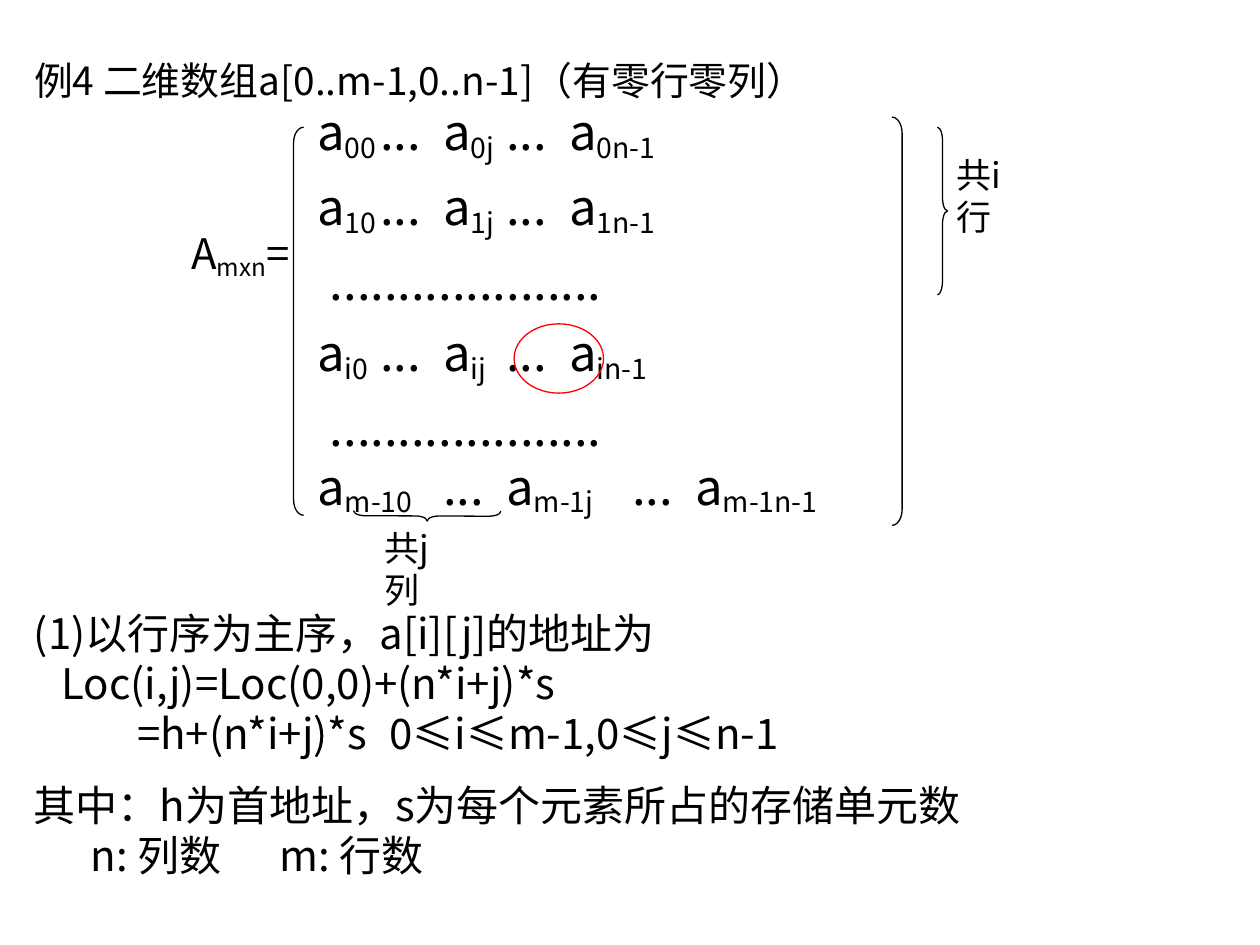
from lxml import etree
from pptx import Presentation
from pptx.dml.color import RGBColor
from pptx.enum import shapes, text
from pptx.oxml.ns import qn
from pptx.util import Inches, Pt

THEME = {
    "font": "Noto Sans CJK SC",
    "ink": RGBColor(0, 0, 0),
    "mark": RGBColor(255, 0, 0),
    "line": 0.75,
    "heading": 22.2, "matrix": 28, "body": 24, "label": 20,
}

# Content: parts between ~ marks are subscripts
HEADING = "例4 二维数组a[0..m-1,0..n-1]（有零行零列）"
DOTS = "...................."
EVEN_STOPS = (0.57, 1.07, 1.58, 2.07)
MATRIX = [  # subscripts of the three entries, tab stops
    (("00", "0j", "0n-1"), EVEN_STOPS),
    (("10", "1j", "1n-1"), EVEN_STOPS),
    None,
    (("i0", "ij", "in-1"), (0.52, 1.01, 1.45, 1.94)),
    None,
    (("m-10", "m-1j", "m-1n-1"), (0.82, 1.22, 2.01, 2.42)),
]
FORMULAS = [
    {"words": "(1)以行序为主序，a[i][j]的地址为"},
    {"words": "Loc(i,j)=Loc(0,0)+(n*i+j)*s", "indent": 0.22},
    {"words": "=h+(n*i+j)*s\t0≤i≤m-1,0≤j≤n-1", "indent": 0.82, "stops": (3.31,)},
    {"words": "其中：h为首地址，s为每个元素所占的存储单元数", "before": 12},
    {"words": "n: 列数\tm: 行数", "indent": 0.45, "stops": (1.87,)},
]
LABELS = [("共i行", 7.49, 1.17), ("共j列", 2.95, 4.13)]
OUTLINES = [  # preset, box, adjustments, rotation, colour
    (shapes.MSO_SHAPE.LEFT_BRACKET, (2.33, 1.01, 0.08, 3.08), (1.54,), 0, "ink"),
    (shapes.MSO_SHAPE.RIGHT_BRACKET, (7.08, 0.93, 0.08, 3.24), (1.62,), 0, "ink"),
    (shapes.MSO_SHAPE.RIGHT_BRACE, (7.44, 1.01, 0.08, 1.33), (1.35, 0.5), 0, "ink"),
    (shapes.MSO_SHAPE.RIGHT_BRACE, (3.35, 3.51, 0.08, 1.17), (1.2, 0.5), 90.2, "ink"),
    (shapes.MSO_SHAPE.OVAL, (4.08, 2.57, 0.71, 0.55), (), 0, "mark"),
]


def write(paragraph, words, size, indent=0, stops=(), before=0, spacing=1.0):
    """Fill a paragraph; parts between ~ marks become subscripts."""
    properties = paragraph._p.get_or_add_pPr()
    properties.set("marL", str(Inches(indent)))
    properties.set("indent", "0")
    paragraph.alignment = text.PP_ALIGN.LEFT
    paragraph.line_spacing = spacing
    paragraph.space_before = Pt(before)
    if stops:
        tabs = etree.SubElement(properties, qn("a:tabLst"))
        for stop in stops:
            etree.SubElement(tabs, qn("a:tab"), pos=str(Inches(stop)), algn="l")
    for number, part in enumerate(words.split("~")):
        if not part:
            continue
        run = paragraph.add_run()
        run.text = part
        run.font.size = Pt(size)
        run.font.name = THEME["font"]
        run.font.color.rgb = THEME["ink"]
        run_properties = run._r.get_or_add_rPr()
        etree.SubElement(run_properties, qn("a:ea"), typeface=THEME["font"])
        if number % 2:
            run_properties.set("baseline", "-16000")


def add_text(slide, box, lines, size, right_inset=0.1):
    frame = slide.shapes.add_textbox(*map(Inches, box)).text_frame
    frame.word_wrap = True
    frame.margin_right = Inches(right_inset)
    for number, line in enumerate(lines):
        paragraph = frame.add_paragraph() if number else frame.paragraphs[0]
        write(paragraph, size=size, **line)


def matrix_lines():
    last = len(MATRIX) - 1
    for number, row in enumerate(MATRIX):
        before = 7 if 0 < number < last else 0
        if row is None:
            yield {"words": DOTS, "indent": 0.1, "before": before}
        else:
            subscripts, stops = row
            words = "\t...\t".join(f"a~{subscript}~" for subscript in subscripts)
            yield {"words": words, "stops": stops, "before": before}


def main():
    presentation = Presentation()
    presentation.slide_width, presentation.slide_height = Inches(10), Inches(7.5)
    slide = presentation.slides.add_slide(presentation.slide_layouts[5])

    # Heading
    title = slide.shapes.title
    title.left, title.top, title.width, title.height = map(Inches, (0.17, 0.44, 9.58, 0.47))
    frame = title.text_frame
    frame.auto_size = text.MSO_AUTO_SIZE.NONE
    frame.vertical_anchor = text.MSO_ANCHOR.TOP
    write(frame.paragraphs[0], HEADING, THEME["heading"], spacing=0.9)

    # Matrix, its name, and the address formulas
    add_text(slide, (2.42, 0.76, 4.83, 3.41), matrix_lines(), THEME["matrix"])
    add_text(slide, (1.42, 1.76, 1, 0.93), [{"words": "A~mxn~="}], THEME["body"], 0)
    add_text(slide, (0.17, 4.77, 9.75, 2.27), FORMULAS, THEME["body"])

    # Row and column counts, each breaking before its last character
    for words, left, top in LABELS:
        add_text(slide, (left, top, 0.96, 0.44), [{"words": words}], THEME["label"], 0.25)

    # Brackets, braces and the ring
    for preset, box, adjustments, rotation, colour in OUTLINES:
        shape = slide.shapes.add_shape(preset, *map(Inches, box))
        for number, value in enumerate(adjustments):
            shape.adjustments[number] = value
        shape.rotation = rotation
        shape.shadow.inherit = False
        shape.fill.background()
        shape.line.color.rgb = THEME[colour]
        shape.line.width = Pt(THEME["line"])

    presentation.save("out.pptx")


if __name__ == "__main__":
    main()
